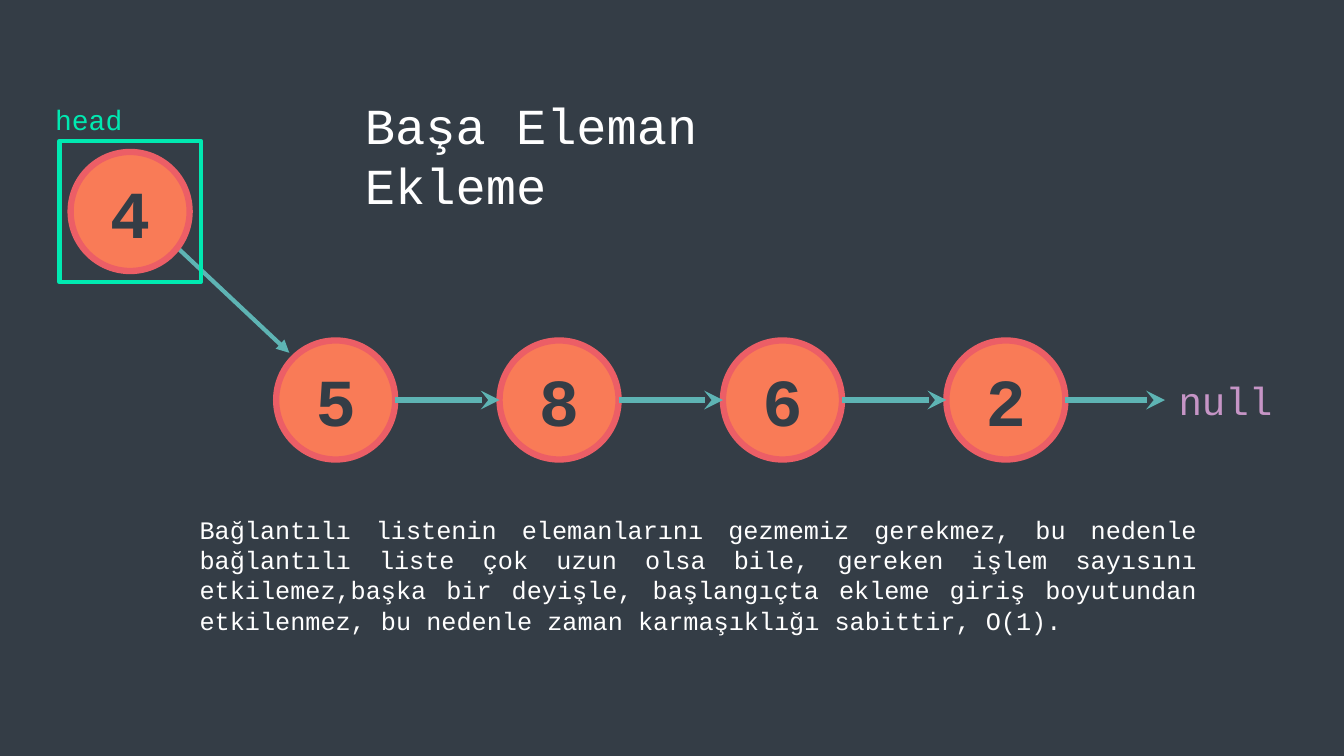
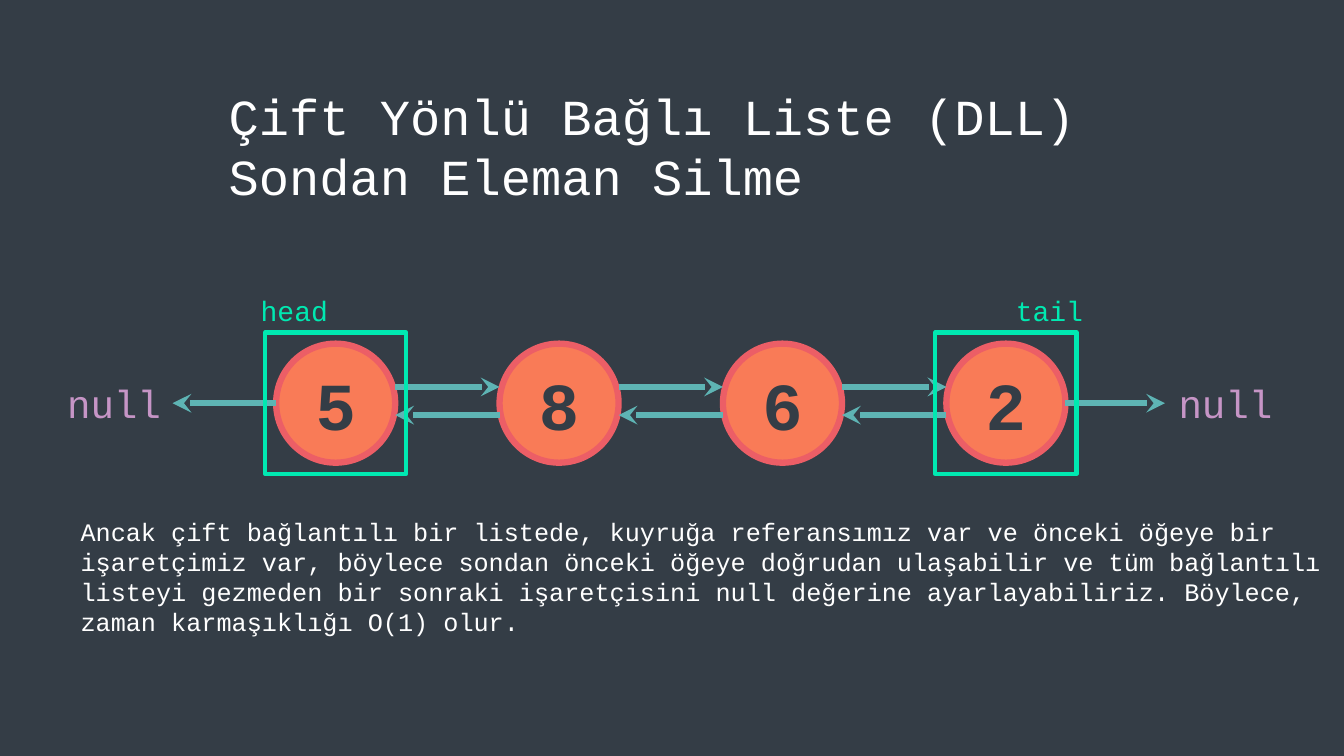
from lxml.etree import SubElement
from pptx import Presentation
from pptx.dml.color import RGBColor
from pptx.enum.shapes import MSO_CONNECTOR, MSO_SHAPE
from pptx.enum.text import MSO_ANCHOR, MSO_AUTO_SIZE, PP_ALIGN
from pptx.oxml.ns import qn
from pptx.util import Cm, Pt

BACKGROUND, WHITE = "343D46", "FFFFFF"
NODE_FILL, NODE_EDGE = "F97B57", "EC5E66"
ARROW, MARKER, NULL = "5EB4B4", "00E9B1", "C695C6"

# Lengths in centimetres
SLIDE_W, SLIDE_H = 33.87, 19.05
NODE, MARKER_SIZE = 3, 3.56
FIRST_X, PITCH = 6.96, 5.63
VALUES = "5862"
LIST_X = [FIRST_X + i * PITCH for i in range(len(VALUES))]
LIST_END = LIST_X[-1] + NODE
NULL_W, NULL_H = 2.95, 1.45
LEFT_NULL_X, RIGHT_NULL_X = 1.4, 29.41


def rgb(color):
    return RGBColor.from_string(color)


def apply(target, values):
    for name, value in values.items():
        setattr(target, name, value)


class Deck:
    font = "Courier New"

    def __init__(self):
        self.prs = Presentation()
        apply(self.prs, {"slide_width": Cm(SLIDE_W), "slide_height": Cm(SLIDE_H)})
        fill = self.prs.slide_master.background.fill
        fill.solid()
        fill.fore_color.rgb = rgb(BACKGROUND)
        self.s = None

    def add_slide(self):
        self.s = self.prs.slides.add_slide(self.prs.slide_layouts[5])

    def set_text(self, tf, text, size, color, align=PP_ALIGN.LEFT, bold=False):
        """Fill a text frame, one paragraph per line of text."""
        tf.text = text
        for p in tf.paragraphs:
            p.alignment = align
            apply(p.font, {"name": self.font, "size": Pt(size), "bold": bold})
            p.font.color.rgb = rgb(color)

    def title(self, text, x, y, w, h):
        sp = self.s.shapes.title
        apply(sp, {"left": Cm(x), "top": Cm(y), "width": Cm(w), "height": Cm(h)})
        apply(sp.text_frame, {"word_wrap": True, "auto_size": MSO_AUTO_SIZE.NONE,
                              "vertical_anchor": MSO_ANCHOR.TOP})
        self.set_text(sp.text_frame, text, 36, WHITE)

    def text(self, text, x, y, w, h, size, color, align=PP_ALIGN.LEFT):
        tf = self.s.shapes.add_textbox(Cm(x), Cm(y), Cm(w), Cm(h)).text_frame
        tf.word_wrap = True
        self.set_text(tf, text, size, color, align)

    def shape(self, kind, x, y, size, line, width, fill=None):
        sp = self.s.shapes.add_shape(kind, Cm(x), Cm(y), Cm(size), Cm(size))
        sp.shadow.inherit = False
        if fill:
            sp.fill.solid()
            sp.fill.fore_color.rgb = rgb(fill)
        else:
            sp.fill.background()
        sp.line.color.rgb = rgb(line)
        sp.line.width = Pt(width)
        return sp

    def node(self, value, x, mid):
        sp = self.shape(MSO_SHAPE.OVAL, x, mid - NODE / 2, NODE, NODE_EDGE, 4.5, NODE_FILL)
        apply(sp.text_frame, {"margin_left": 0, "margin_right": 0,
                              "vertical_anchor": MSO_ANCHOR.MIDDLE})
        self.set_text(sp.text_frame, value, 48, BACKGROUND, PP_ALIGN.CENTER, bold=True)

    def marker(self, label, node_x, mid, label_shift=-0.64):
        """Frame the node at node_x and put a label above the frame."""
        self.shape(MSO_SHAPE.RECTANGLE, node_x - (MARKER_SIZE - NODE) / 2,
                   mid - MARKER_SIZE / 2, MARKER_SIZE, MARKER, 3)
        self.text(label, node_x + label_shift, mid - 2.88, 2.49, 1.11, 20, MARKER)

    def arrow(self, x1, y1, x2, y2, width=4.5, head="stealth"):
        c = self.s.shapes.add_connector(MSO_CONNECTOR.STRAIGHT,
                                        Cm(x1), Cm(y1), Cm(x2), Cm(y2))
        c.line.color.rgb = rgb(ARROW)
        c.line.width = Pt(width)
        spPr = c._element.spPr
        SubElement(spPr.find(qn("a:ln")), qn("a:tailEnd"), type=head)
        SubElement(spPr, qn("a:effectLst"))

    def null(self, x, mid):
        self.text("null", x, mid - NULL_H / 2, NULL_W, NULL_H, 28, NULL, PP_ALIGN.CENTER)

    def linked_list(self, mid, next_shift=0, prev_shift=None):
        """Draw the nodes, their next arrows and, given a shift, their prev arrows."""
        for value, x in zip(VALUES, LIST_X):
            self.node(value, x, mid)
        for x, following in zip(LIST_X, LIST_X[1:]):
            self.arrow(x + NODE, mid + next_shift, following, mid + next_shift)
            if prev_shift is not None:
                self.arrow(following, mid + prev_shift, x + NODE, mid + prev_shift)
        self.arrow(LIST_END, mid, RIGHT_NULL_X - 0.05, mid)
        self.null(RIGHT_NULL_X, mid)


def insert_at_head(deck):
    mid, new_x, new_mid = 10.08, 1.78, 5.33
    deck.add_slide()
    deck.title("Başa Eleman Ekleme", 8.94, 2.24, 13.77, 3.33)
    deck.arrow(3.5, new_mid, 7.29, 8.89, 3, "triangle")
    deck.linked_list(mid)
    deck.node("4", new_x, new_mid)
    deck.marker("head", new_x, new_mid)
    deck.text("Bağlantılı listenin elemanlarını gezmemiz gerekmez, bu nedenle bağlantılı "
              "liste çok uzun olsa bile, gereken işlem sayısını etkilemez,başka bir "
              "deyişle, başlangıçta ekleme giriş boyutundan etkilenmez, bu nedenle zaman "
              "karmaşıklığı sabittir, O(1).",
              4.78, 12.83, 25.63, 3.33, 18, WHITE, PP_ALIGN.JUSTIFY)


def delete_at_tail(deck):
    mid, text_x = 10.16, 1.78
    deck.add_slide()
    deck.title("Çift Yönlü Bağlı Liste (DLL)\nSondan Eleman Silme", 5.51, 2.01, 25.96, 3.33)
    deck.linked_list(mid, next_shift=-0.41, prev_shift=0.3)
    deck.arrow(FIRST_X, mid, LEFT_NULL_X + NULL_W, mid)
    deck.null(LEFT_NULL_X, mid)
    deck.marker("head", FIRST_X, mid)
    deck.marker("tail", LIST_X[-1], mid, label_shift=NODE / 2)
    deck.text("Ancak çift bağlantılı bir listede, kuyruğa referansımız var ve önceki öğeye "
              "bir işaretçimiz var, böylece sondan önceki öğeye doğrudan ulaşabilir ve tüm "
              "bağlantılı listeyi gezmeden bir sonraki işaretçisini null değerine "
              "ayarlayabiliriz. Böylece, zaman karmaşıklığı O(1) olur.",
              text_x, 12.88, SLIDE_W - text_x, 3.33, 18, WHITE)


def main():
    deck = Deck()
    insert_at_head(deck)
    delete_at_tail(deck)
    deck.prs.save("out.pptx")


if __name__ == "__main__":
    main()
